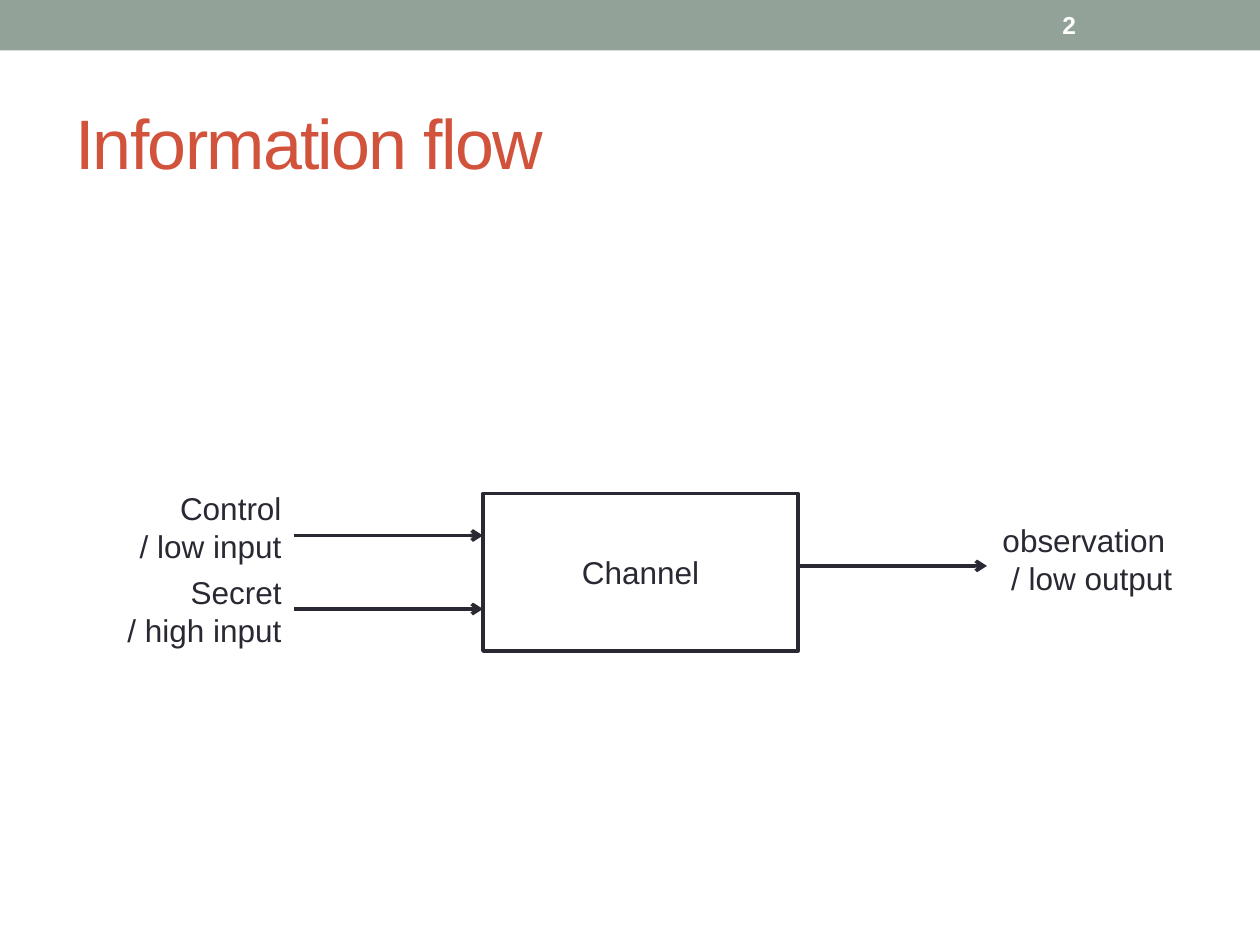
import pptx
import pptx.dml.color
import pptx.enum.shapes
import pptx.enum.text
import pptx.oxml.ns
import pptx.util
from lxml import etree

INK = pptx.dml.color.RGBColor(0x29, 0x29, 0x34)
SAGE = pptx.dml.color.RGBColor(0x93, 0xA2, 0x99)
RUST = pptx.dml.color.RGBColor(0xD2, 0x53, 0x3C)
WHITE = pptx.dml.color.RGBColor(0xFF, 0xFF, 0xFF)

COLUMNS_PER_INCH = 12
STROKE = pptx.util.Pt(2.08)
LABEL_HEIGHT = 8.5
ALIGN = pptx.enum.text.PP_ALIGN
MIDDLE = pptx.enum.text.MSO_ANCHOR.MIDDLE


def grid(*cells):
    """Turn columns and rows of the 120 by 90 grid into lengths."""
    return [pptx.util.Inches(cell / COLUMNS_PER_INCH) for cell in cells]


def write(frame, lines, size, color, align=ALIGN.LEFT, bold=False):
    frame.text = "\n".join(lines)
    for paragraph in frame.paragraphs:
        paragraph.alignment = align
        paragraph.font.name = "Arial"
        paragraph.font.size = pptx.util.Pt(size)
        paragraph.font.color.rgb = color
        paragraph.font.bold = bold


def add_box(slide, area, fill, outline=None):
    box = slide.shapes.add_shape(
        pptx.enum.shapes.MSO_SHAPE.RECTANGLE, *grid(*area))
    box.shadow.inherit = False
    box.fill.solid()
    box.fill.fore_color.rgb = fill
    if outline is None:
        box.line.fill.background()
    else:
        box.line.color.rgb = outline
        box.line.width = STROKE
    return box


def add_heading(slide, area, text, size, color, bold=False):
    frame = slide.shapes.add_textbox(*grid(*area)).text_frame
    frame.word_wrap = True
    frame.vertical_anchor = MIDDLE
    write(frame, [text], size, color, bold=bold)
    return frame


def add_label(slide, left, top, width, lines, align):
    area = grid(left, top, width, LABEL_HEIGHT)
    frame = slide.shapes.add_textbox(*area).text_frame
    frame.word_wrap = False
    frame.auto_size = pptx.enum.text.MSO_AUTO_SIZE.SHAPE_TO_FIT_TEXT
    write(frame, lines, 18, INK, align)


def add_arrow(slide, start, end, row):
    arrow = slide.shapes.add_connector(
        pptx.enum.shapes.MSO_CONNECTOR.STRAIGHT, *grid(start, row, end, row))
    arrow.line.color.rgb = INK
    arrow.line.width = STROKE
    qn = pptx.oxml.ns.qn
    etree.SubElement(arrow.line._get_or_add_ln(), qn("a:tailEnd"), type="arrow")
    etree.SubElement(arrow._element.spPr, qn("a:effectLst"))


def main():
    deck = pptx.Presentation()
    deck.slide_width, deck.slide_height = grid(120, 90)
    slide = deck.slides.add_slide(deck.slide_layouts[6])

    add_box(slide, (0, 0, 120, 4.8), SAGE)
    title = add_heading(slide, (6, 7, 108, 13), "Information flow", 40, RUST)
    title.paragraphs[0].runs[0]._r.get_or_add_rPr().set("spc", "-100")
    add_heading(slide, (100, 0.25, 14, 4.3), "2", 14, WHITE, bold=True)

    channel_left, channel_width, arrow_length = 46, 30, 18
    channel_right = channel_left + channel_width
    channel = add_box(
        slide, (channel_left, 47, channel_width, 15), WHITE, INK)
    channel.text_frame.vertical_anchor = MIDDLE
    write(channel.text_frame, ["Channel"], 18, INK, ALIGN.CENTER)

    input_left = channel_left - arrow_length
    inputs = [
        (["Control", "/ low input"], 46, 16.1, 51),
        (["Secret", "/ high input"], 54, 17.2, 58),
    ]
    for lines, top, width, arrow_row in inputs:
        add_arrow(slide, input_left, channel_left, arrow_row)
        add_label(slide, input_left - width, top, width, lines, ALIGN.RIGHT)

    add_arrow(slide, channel_right, channel_right + arrow_length, 53.9)
    add_label(slide, 94.3, 49, 18.7, ["observation", " / low output"],
              ALIGN.LEFT)

    deck.save("out.pptx")


if __name__ == "__main__":
    main()
